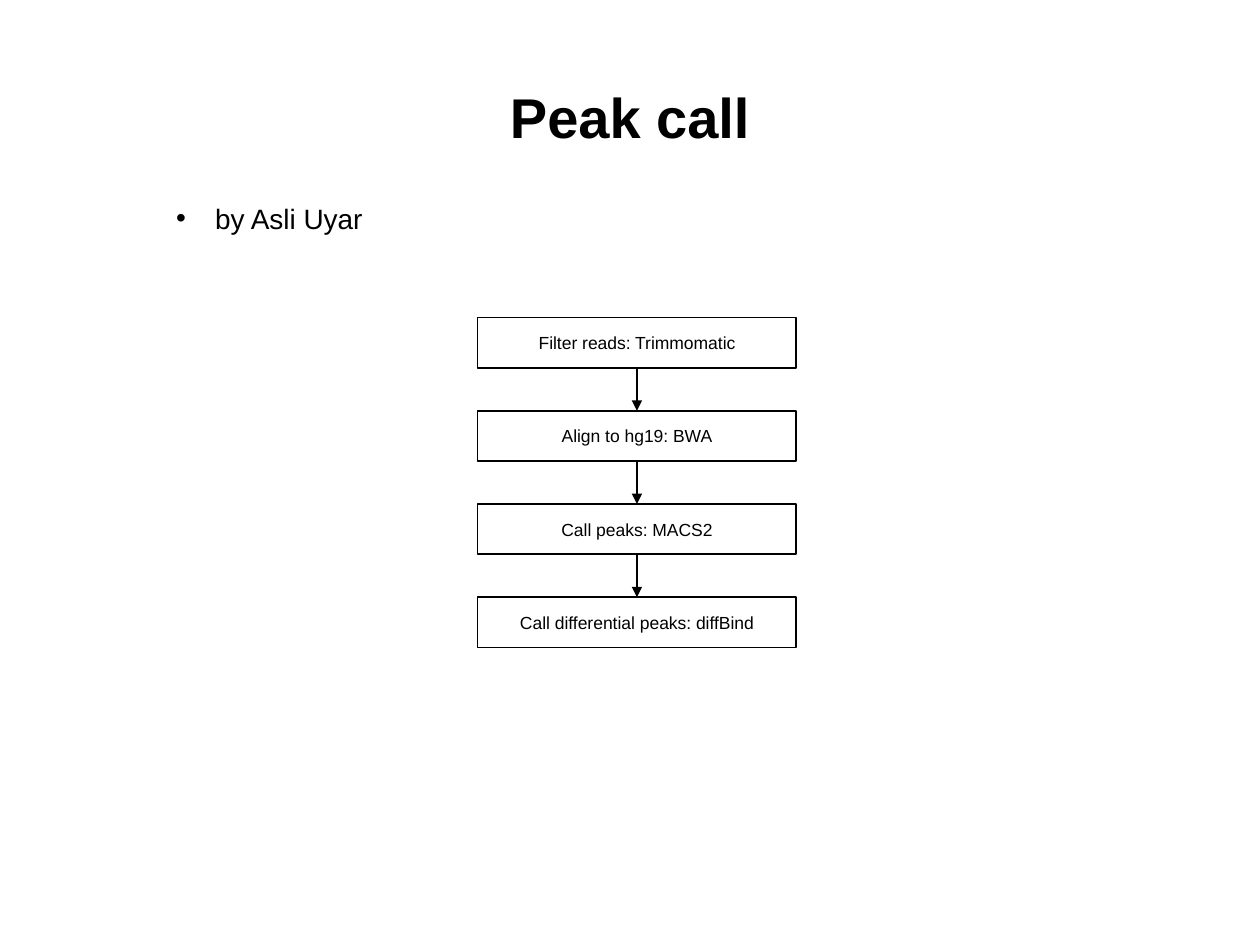
import pptx
import pptx.util
import pptx.dml.color
import pptx.enum.shapes
import pptx.enum.text
import pptx.oxml
import pptx.oxml.ns
from pptx.util import Inches

# Content
TITLE = "Peak call"
AUTHOR = "by Asli Uyar"
STEPS = [
    "Filter reads: Trimmomatic",
    "Align to hg19: BWA",
    "Call peaks: MACS2",
    "Call differential peaks: diffBind",
]

# Format
COLOURS = {"ink": "000000", "paper": "FFFFFF"}
TITLE_FONT = {"name": "Arial", "size": pptx.util.Pt(32), "bold": True}
AUTHOR_FONT = {"name": "Arial", "size": pptx.util.Pt(16), "bold": False}
STEP_FONT = {"name": "Arial", "size": pptx.util.Pt(10), "bold": False}
CENTER = pptx.enum.text.PP_ALIGN.CENTER
LEFT = pptx.enum.text.PP_ALIGN.LEFT
MIDDLE = pptx.enum.text.MSO_ANCHOR.MIDDLE

# Flow chart grid, in inches
BOX_LEFT, BOX_TOP, BOX_WIDTH, BOX_HEIGHT = 3.79, 2.52, 2.53, 0.4
BOX_PITCH = 0.74


def colour(name):
    return pptx.dml.color.RGBColor.from_string(COLOURS[name])


def write(shape, text, font_values, alignment):
    paragraph = shape.text_frame.paragraphs[0]
    paragraph.alignment = alignment
    run = paragraph.add_run()
    run.text = text
    for attribute, value in font_values.items():
        setattr(run.font, attribute, value)
    run.font.color.rgb = colour("ink")
    return paragraph


def draw_line(line):
    line.color.rgb = colour("ink")
    line.width = pptx.util.Pt(1)


def add_step(slide, index, text):
    box = slide.shapes.add_shape(
        pptx.enum.shapes.MSO_SHAPE.RECTANGLE,
        Inches(BOX_LEFT), Inches(BOX_TOP + index * BOX_PITCH),
        Inches(BOX_WIDTH), Inches(BOX_HEIGHT))
    box.shadow.inherit = False
    box.fill.solid()
    box.fill.fore_color.rgb = colour("paper")
    draw_line(box.line)
    box.text_frame.word_wrap = True
    box.text_frame.vertical_anchor = MIDDLE
    write(box, text, STEP_FONT, CENTER)
    return box


def add_arrow(slide, upper, lower):
    arrow = slide.shapes.add_connector(
        pptx.enum.shapes.MSO_CONNECTOR.STRAIGHT, 0, 0, 0, 0)
    arrow.begin_connect(upper, 2)
    arrow.end_connect(lower, 0)
    draw_line(arrow.line)
    head = pptx.oxml.parse_xml(
        f'<a:tailEnd {pptx.oxml.ns.nsdecls("a")} type="triangle"/>')
    arrow.line._get_or_add_ln().append(head)
    arrow._element.spPr.append(
        pptx.oxml.parse_xml(f'<a:effectLst {pptx.oxml.ns.nsdecls("a")}/>'))


def add_author(slide):
    box = slide.shapes.add_textbox(
        Inches(1.3), Inches(1.55), Inches(1.7), Inches(0.37))
    box.text_frame.word_wrap = False
    box.text_frame.auto_size = pptx.enum.text.MSO_AUTO_SIZE.SHAPE_TO_FIT_TEXT
    paragraph = write(box, AUTHOR, AUTHOR_FONT, LEFT)
    properties = paragraph._p.get_or_add_pPr()
    properties.set("marL", str(Inches(0.31)))
    properties.set("indent", str(-Inches(0.31)))
    for tag in ('buFont {} typeface="Arial"', 'buChar {} char="•"'):
        properties.append(pptx.oxml.parse_xml(
            f'<a:{tag.format(pptx.oxml.ns.nsdecls("a"))}/>'))


def main():
    presentation = pptx.Presentation()
    presentation.slide_width = Inches(10)
    presentation.slide_height = Inches(7.5)
    slide = presentation.slides.add_slide(presentation.slide_layouts[5])

    # Title
    title = slide.shapes.title
    title.left, title.top = Inches(0.5), Inches(0.3)
    title.width, title.height = Inches(9), Inches(1.25)
    title.text_frame.vertical_anchor = MIDDLE
    write(title, TITLE, TITLE_FONT, CENTER)

    # Flow chart
    boxes = [add_step(slide, index, text) for index, text in enumerate(STEPS)]
    for upper, lower in zip(boxes, boxes[1:]):
        add_arrow(slide, upper, lower)

    # Author bullet
    add_author(slide)

    presentation.save("out.pptx")


if __name__ == "__main__":
    main()
